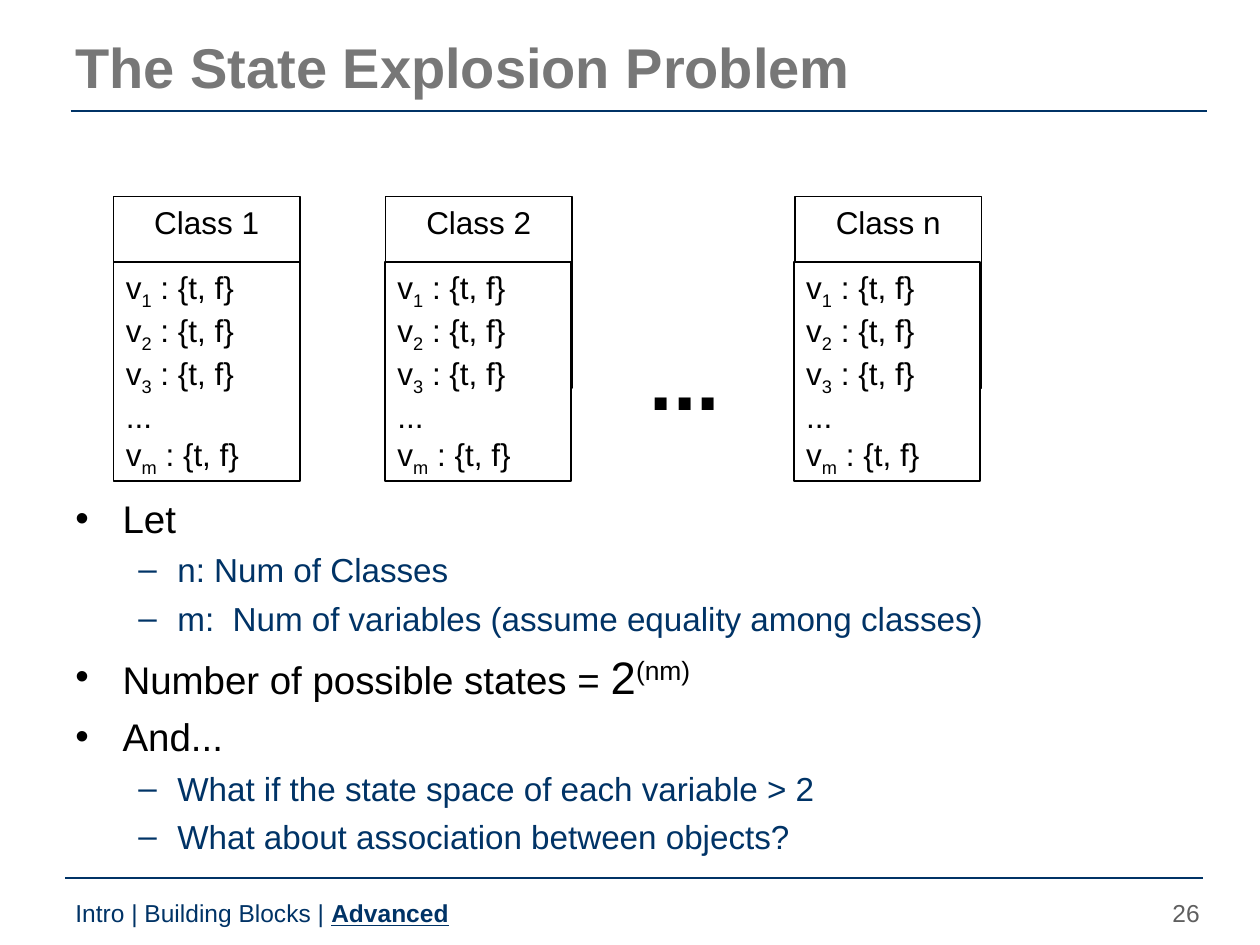
import pptx
import pptx.dml.color
import pptx.enum.shapes
import pptx.enum.text
import pptx.oxml.ns
import pptx.util
import lxml.etree

COLORS = {"ink": "000000", "navy": "003366", "title": "777777",
          "number": "5F5F5F", "paper": "FFFFFF"}
WIDTH, HEIGHT = pptx.util.Inches(10), pptx.util.Inches(7.5)
COLUMN, ROW = WIDTH / 100, HEIGHT / 75
FONT = "Arial"
ALIGN = pptx.enum.text.PP_ALIGN
ANCHOR = pptx.enum.text.MSO_ANCHOR

CLASS_SIZE = (14.8, 15.2)
MEMBERS_SIZE = (14.8, 17.4)
# Name, column of the class box, column of its members box
CLASSES = [("Class 1", 9, 9), ("Class 2", 30.6, 30.55), ("Class n", 63.1, 63)]
LEVELS = [
    {"bullet": "•", "color": "ink", "size": 22, "margin": 3.75, "hang": 3.75},
    {"bullet": "–", "color": "navy", "size": 19, "margin": 8.1, "hang": 3.1},
]
# Level, points of space before, then spans of text with their own format
POINTS = [
    (0, 5.5, [("Let", {})]),
    (1, 4.8, [("n: Num of Classes", {})]),
    (1, 4.8, [("m:  Num of variables (assume equality among classes)", {})]),
    (0, 6.5, [("Number of possible states = ", {}), ("2", {"size": 26}),
              ("(nm)", {"size": 26, "baseline": 30})]),
    (0, 5.5, [("And...", {})]),
    (1, 4.8, [("What if the state space of each variable > 2", {})]),
    (1, 4.8, [("What about association between objects?", {})]),
]


def rgb(color):
    return pptx.dml.color.RGBColor.from_string(COLORS[color])


def grid(*cells):
    """Turn alternating column and row counts into lengths."""
    return [round(count * (ROW if index % 2 else COLUMN)) for index, count in enumerate(cells)]


def add_span(para, text, size, color="ink", baseline=0, **formats):
    span = para.add_run()
    span.text = text
    formats = {"name": FONT, "size": pptx.util.Pt(size), **formats}
    for name, value in formats.items():
        setattr(span.font, name, value)
    span.font.color.rgb = rgb(color)
    if baseline:
        span._r.get_or_add_rPr().set("baseline", str(baseline * 1000))


def add_paras(shape, paras, align=ALIGN.LEFT, anchor=ANCHOR.TOP):
    """Fill a shape with paragraphs, each a list of (text, format) spans."""
    frame = shape.text_frame
    frame.word_wrap, frame.vertical_anchor = True, anchor
    for index, spans in enumerate(paras):
        para = frame.add_paragraph() if index else frame.paragraphs[0]
        para.alignment = align
        for text, formats in spans:
            add_span(para, text, **formats)
    return frame.paragraphs


def add_text(slide, cells, paras, **layout):
    return add_paras(slide.shapes.add_textbox(*grid(*cells)), paras, **layout)


def add_box(slide, cells, paras, fill=None, **layout):
    box = slide.shapes.add_shape(pptx.enum.shapes.MSO_SHAPE.RECTANGLE, *grid(*cells))
    box.shadow.inherit = False
    box.line.color.rgb = rgb("ink")
    box.line.width = pptx.util.Pt(1)
    if fill:
        box.fill.solid()
        box.fill.fore_color.rgb = rgb(fill)
    else:
        box.fill.background()
    add_paras(box, paras, **layout)


def add_rule(slide, left, right, row):
    rule = slide.shapes.add_connector(
        pptx.enum.shapes.MSO_CONNECTOR.STRAIGHT, *grid(left, row, right, row))
    rule.line.color.rgb = rgb("navy")
    rule.line.width = pptx.util.Pt(1)
    lxml.etree.SubElement(rule._element.spPr, pptx.oxml.ns.qn("a:effectLst"))


def set_bullet(para, level, before):
    style = LEVELS[level]
    para.level = level
    para.space_before = pptx.util.Pt(before)
    properties = para._p.get_or_add_pPr()
    properties.set("marL", str(round(style["margin"] * COLUMN)))
    properties.set("indent", str(round(-style["hang"] * COLUMN)))
    tag = pptx.oxml.ns.qn
    bullet_color = lxml.etree.SubElement(properties, tag("a:buClr"))
    lxml.etree.SubElement(bullet_color, tag("a:srgbClr"), val=COLORS[style["color"]])
    lxml.etree.SubElement(properties, tag("a:buFont"), typeface=FONT)
    lxml.etree.SubElement(properties, tag("a:buChar"), char=style["bullet"])


def add_points(slide, cells):
    paras = []
    for level, _, spans in POINTS:
        base = {key: LEVELS[level][key] for key in ("size", "color")}
        paras.append([(text, {**base, **formats}) for text, formats in spans])
    for para, (level, before, _) in zip(add_text(slide, cells, paras), POINTS):
        set_bullet(para, level, before)


def member(index):
    """Spans of one boolean variable with its subscript."""
    return [("v", {"size": 18}), (index, {"size": 18, "baseline": -25}),
            (" : {t, f}", {"size": 18})]


def add_classes(slide):
    members = [member("1"), member("2"), member("3"), [("...", {"size": 18})], member("m")]
    for name, class_left, members_left in CLASSES:
        add_box(slide, (class_left, 15.6, *CLASS_SIZE), [[(name, {"size": 18})]],
                align=ALIGN.CENTER)
        add_box(slide, (members_left, 20.8, *MEMBERS_SIZE), members, fill="paper")
    add_text(slide, (50.6, 25.4, 8, 9), [[("...", {"size": 48, "bold": True})]])


def add_footer(slide):
    add_rule(slide, 5.2, 95.5, 69.7)
    trail = {"size": 14, "color": "navy"}
    add_text(slide, (5, 70.8, 64.2, 2.5),
             [[("Intro | Building Blocks | ", trail),
               ("Advanced", {**trail, "bold": True, "underline": True})]])
    add_text(slide, (91.2, 70.8, 5, 2.5), [[("26", {"size": 14, "color": "number"})]],
             align=ALIGN.RIGHT)


def main():
    deck = pptx.Presentation()
    deck.slide_width, deck.slide_height = WIDTH, HEIGHT
    page = deck.slides.add_slide(deck.slide_layouts[6])
    add_rule(page, 5.6, 95.8, 8.8)
    add_text(page, (5, 1.9, 90, 6.7),
             [[("The State Explosion Problem", {"size": 32, "color": "title", "bold": True})]],
             anchor=ANCHOR.MIDDLE)
    add_points(page, (5, 38.8, 90, 29.6))
    add_classes(page)
    add_footer(page)
    deck.save("out.pptx")


if __name__ == "__main__":
    main()
